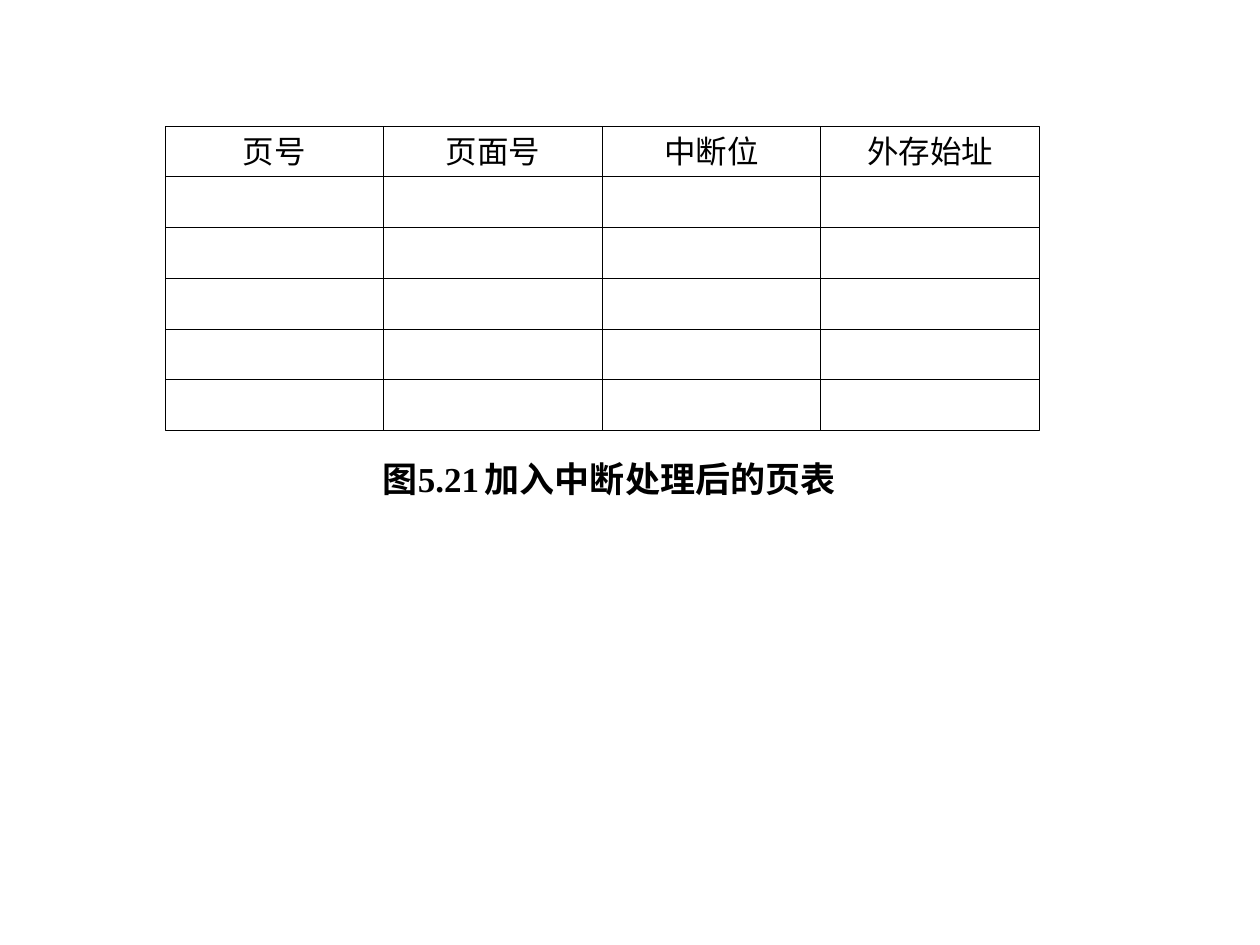
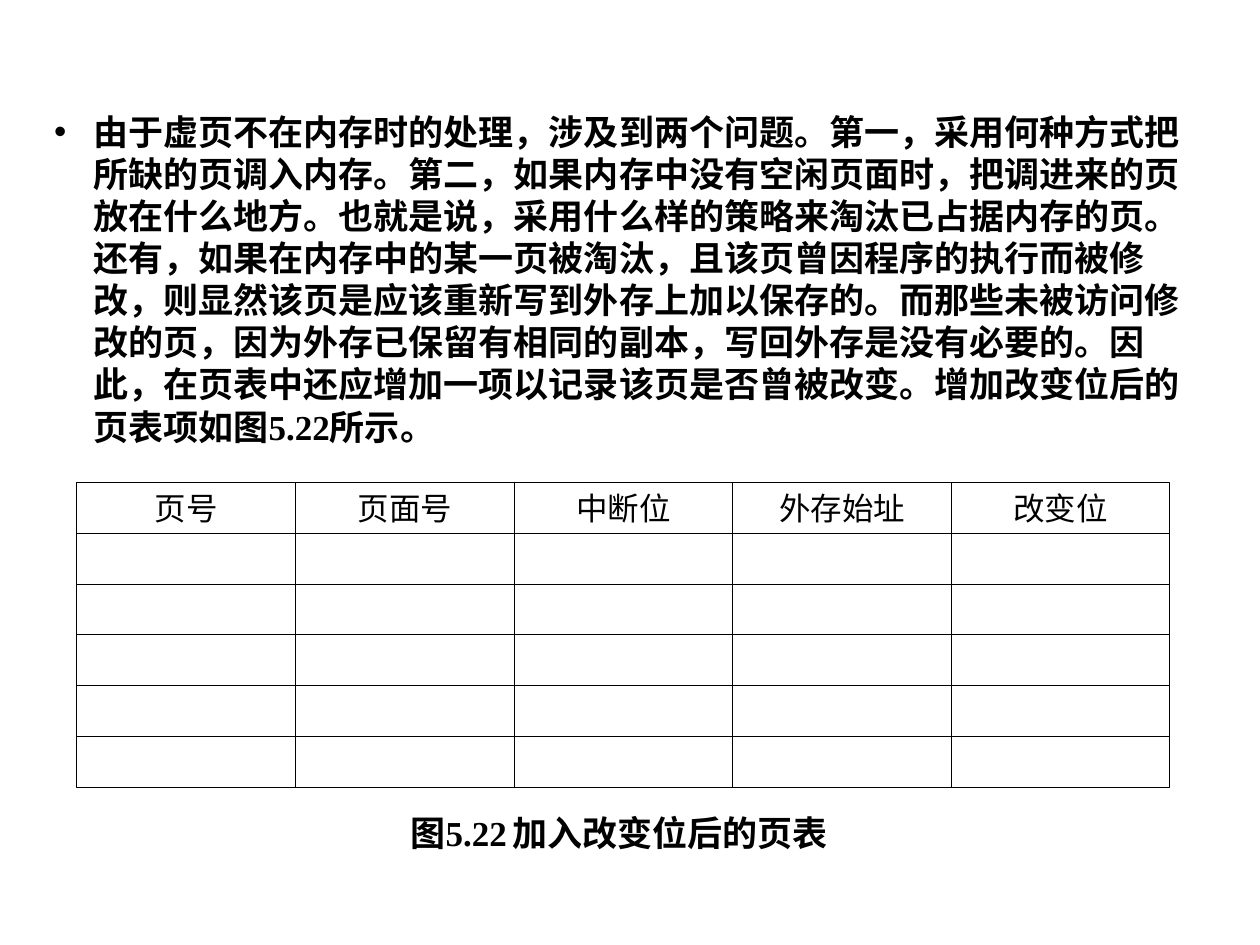
from pptx import Presentation
from pptx.dml.color import RGBColor
from pptx.enum.shapes import MSO_SHAPE as Kind
from pptx.enum.text import MSO_ANCHOR as Anchor, MSO_AUTO_SIZE as Fit, PP_ALIGN as Align
from pptx.oxml.ns import qn
from pptx.util import Inches, Pt
from lxml.etree import SubElement as Sub

BLACK = RGBColor(0, 0, 0)
FACE = "Times New Roman"
COL_W, ROW_H = 1.735, 0.403
ROWS = 6
HEADS = ["页号", "页面号", "中断位", "外存始址", "改变位"]
INTRO = (
    "由于虚页不在内存时的处理，涉及到两个问题。第一，采用何种方式把所缺的页调入内存。"
    "第二，如果内存中没有空闲页面时，把调进来的页放在什么地方。"
    "也就是说，采用什么样的策略来淘汰已占据内存的页。"
    "还有，如果在内存中的某一页被淘汰，且该页曾因程序的执行而被修改，"
    "则显然该页是应该重新写到外存上加以保存的。"
    "而那些未被访问修改的页，因为外存已保留有相同的副本，写回外存是没有必要的。"
    "因此，在页表中还应增加一项以记录该页是否曾被改变。增加改变位后的页表项如图5.22所示。"
)


def set_font(para, size, bold=False):
    """Give a paragraph the shared face and colour."""
    font = para.font
    font.size, font.bold, font.name = Pt(size), bold, FACE
    font.color.rgb = BLACK


def fill_body(holder, box, text, align, bullet=None):
    """Place a body placeholder and write one hanging bold paragraph."""
    holder.left, holder.top, holder.width, holder.height = map(Inches, box)
    frame = holder.text_frame
    frame.auto_size = Fit.NONE
    frame.vertical_anchor = Anchor.TOP
    frame.text = text
    para = frame.paragraphs[0]
    para.alignment = align
    para.space_before = Pt(0)
    para.line_spacing = Pt(24)
    props = para._p.get_or_add_pPr()
    props.set("marL", str(Inches(0.31)))
    props.set("indent", str(Inches(-0.31)))
    props.set("hangingPunct", "0")
    if bullet:
        Sub(props, qn("a:buChar"), char=bullet)
    else:
        Sub(props, qn("a:buNone"))
    tabs = Sub(props, qn("a:tabLst"))
    Sub(tabs, qn("a:tab"), pos=str(Inches(1)), algn="l")
    set_font(para, 20, True)


def add_caption(holder, left, top, text):
    """Write a centred figure caption."""
    fill_body(holder, (left, top, 9.17, 0.42), text, Align.CENTER)


def add_cell(slide, left, top, text):
    """Draw one outlined box, with centred text if there is any."""
    cell = slide.shapes.add_shape(
        Kind.RECTANGLE, *map(Inches, (left, top, COL_W, ROW_H)))
    cell.shadow.inherit = False
    cell.fill.background()
    cell.line.color.rgb = BLACK
    cell.line.width = Pt(0.5)
    if text:
        frame = cell.text_frame
        frame.text = text
        frame.vertical_anchor = Anchor.MIDDLE
        frame.paragraphs[0].alignment = Align.CENTER
        set_font(frame.paragraphs[0], 18)


def add_pages(slide, left, top, heads):
    """Draw a page grid with a heading row and empty entries."""
    for row in range(ROWS):
        for col, head in enumerate(heads):
            add_cell(slide, left + col * COL_W, top + row * ROW_H,
                     "" if row else head)


def new_slide(deck, layout):
    """Add a slide without its title and return it with its bodies."""
    slide = deck.slides.add_slide(deck.slide_layouts[layout])
    title = slide.shapes.title._element
    title.getparent().remove(title)
    return slide, list(slide.placeholders)


def fault_slide(deck):
    """Show the page table with an interrupt bit."""
    slide, (note,) = new_slide(deck, 1)
    add_caption(note, 0.25, 3.58, "图5.21\t加入中断处理后的页表")
    add_pages(slide, 1.31, 1, HEADS[:4])


def change_slide(deck):
    """Explain the change bit and show the table that holds it."""
    slide, (body, note) = new_slide(deck, 3)
    fill_body(body, (0.33, 0.83, 9.17, 2.8), INTRO, Align.LEFT, "•")
    add_pages(slide, 0.61, 3.83, HEADS)
    add_caption(note, 0.33, 6.39, "图5.22\t加入改变位后的页表")


def main():
    """Build both slides and save the deck."""
    deck = Presentation()
    deck.slide_width, deck.slide_height = Inches(10), Inches(7.5)
    fault_slide(deck)
    change_slide(deck)
    deck.save("out.pptx")


if __name__ == "__main__":
    main()
